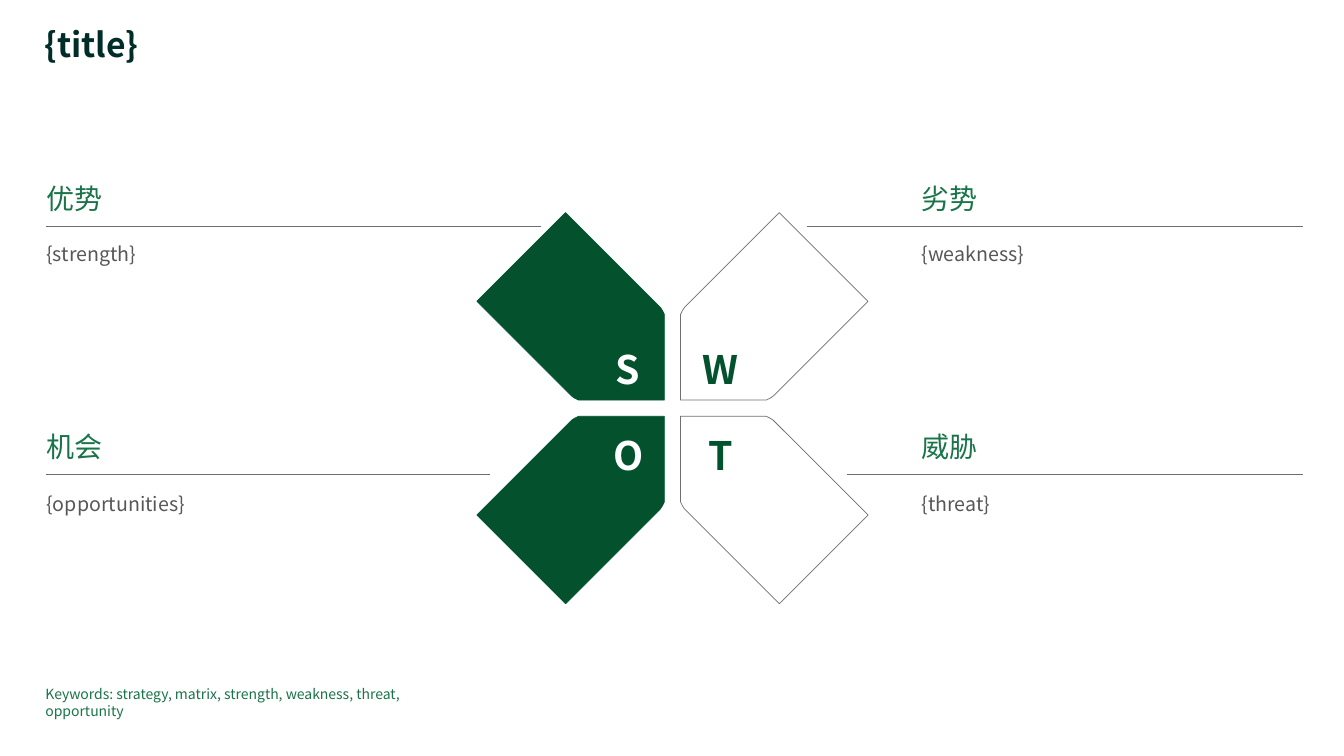
from dataclasses import dataclass
from typing import Optional

from lxml.etree import SubElement
from pptx import Presentation
from pptx.dml.color import RGBColor
from pptx.enum.shapes import MSO_CONNECTOR
from pptx.enum.text import MSO_ANCHOR, PP_ALIGN
from pptx.oxml.ns import qn
from pptx.slide import Slide
from pptx.util import Inches, Pt


@dataclass(frozen=True)
class Theme:
    font: str = "Noto Sans CJK JP"
    ink: str = "002D28"
    green: str = "1A7449"
    dark_green: str = "03522D"
    white: str = "FFFFFF"
    body: str = "575757"
    rule: str = "6E6F73"
    title_size: int = 24
    heading_size: int = 20
    body_size: int = 14
    letter_size: int = 28
    keyword_size: int = 10
    line_width: float = 0.5


THEME = Theme()


@dataclass(frozen=True)
class Label:
    text: str
    left: float
    top: float
    width: float
    height: float
    size: int
    color: str
    bold: bool = False
    wrap: bool = True
    anchor: MSO_ANCHOR = MSO_ANCHOR.TOP
    align: PP_ALIGN = PP_ALIGN.LEFT
    spacing: Optional[float] = None


@dataclass(frozen=True)
class Quadrant:
    letter: str
    heading: str
    body: str
    side: int  # -1 left, 1 right
    level: int  # -1 upper, 1 lower
    rule_start: float
    rule_end: float
    letter_center: float


QUADRANTS = [
    Quadrant("S", "优势", "{strength}", -1, -1, 0.46, 5.37, 6.23),
    Quadrant("W", "劣势", "{weakness}", 1, -1, 8.0, 12.92, 7.15),
    Quadrant("O", "机会", "{opportunities}", -1, 1, 0.46, 4.86, 6.23),
    Quadrant("T", "威胁", "{threat}", 1, 1, 8.4, 12.92, 7.15),
]

CENTER_X, CENTER_Y = 6.67, 4.05
COLUMN_LEFT = {-1: 0.46, 1: 9.14}
RULE_TOP = {-1: 2.25, 1: 4.71}
BODY_TOP = {-1: 2.4, 1: 4.88}
LETTER_TOP = {-1: 3.42, 1: 4.28}
COLUMN_WIDTH = 3.78

# Half a petal, as distances from the centre; the other half swaps x and y.
HALF_PETAL = [(0.88, 0.08), (0.93, 0.08), (0.97, 0.1), (1.0, 0.12), (1.94, 1.06)]
PETAL = [(0.08, 0.08), *HALF_PETAL, *((y, x) for x, y in reversed(HALF_PETAL))]


def add_label(page: Slide, label: Label) -> None:
    box = page.shapes.add_textbox(
        Inches(label.left), Inches(label.top), Inches(label.width), Inches(label.height)
    )
    frame = box.text_frame
    frame_format = {
        "margin_left": 0, "margin_top": 0, "margin_right": 0, "margin_bottom": 0,
        "word_wrap": label.wrap, "vertical_anchor": label.anchor,
    }
    for name, value in frame_format.items():
        setattr(frame, name, value)
    para = frame.paragraphs[0]
    para.alignment = label.align
    para.line_spacing = label.spacing
    span = para.add_run()
    span.text = label.text
    font_format = {"name": THEME.font, "size": Pt(label.size), "bold": label.bold}
    for name, value in font_format.items():
        setattr(span.font, name, value)
    span.font.color.rgb = RGBColor.from_string(label.color)
    SubElement(span.font._element, qn("a:ea"), typeface=THEME.font)


def add_rule(page: Slide, quadrant: Quadrant) -> None:
    top = Inches(RULE_TOP[quadrant.level])
    rule = page.shapes.add_connector(
        MSO_CONNECTOR.STRAIGHT,
        Inches(quadrant.rule_start), top, Inches(quadrant.rule_end), top,
    )
    rule.line.color.rgb = RGBColor.from_string(THEME.rule)
    rule.line.width = Pt(THEME.line_width)
    SubElement(rule._element.spPr, qn("a:effectLst"))


def add_petal(page: Slide, quadrant: Quadrant) -> None:
    """Draw the petal mirrored into its quadrant; left petals are filled."""
    points = [
        (Inches(CENTER_X + quadrant.side * x), Inches(CENTER_Y + quadrant.level * y))
        for x, y in PETAL
    ]
    builder = page.shapes.build_freeform(*points[0])
    builder.add_line_segments(points[1:], close=True)
    petal = builder.convert_to_shape()
    petal.shadow.inherit = False
    filled = quadrant.side < 0
    if filled:
        petal.fill.solid()
        petal.fill.fore_color.rgb = RGBColor.from_string(THEME.dark_green)
    else:
        petal.fill.background()
    line_color = THEME.dark_green if filled else THEME.rule
    petal.line.color.rgb = RGBColor.from_string(line_color)
    petal.line.width = Pt(THEME.line_width)


def add_quadrant(page: Slide, quadrant: Quadrant) -> None:
    left = COLUMN_LEFT[quadrant.side]
    add_rule(page, quadrant)
    add_petal(page, quadrant)
    add_label(page, Label(
        quadrant.heading, left, RULE_TOP[quadrant.level] - 0.46, COLUMN_WIDTH, 0.34,
        THEME.heading_size, THEME.green, anchor=MSO_ANCHOR.BOTTOM,
    ))
    add_label(page, Label(
        quadrant.body, left, BODY_TOP[quadrant.level], COLUMN_WIDTH, 0.24,
        THEME.body_size, THEME.body,
    ))
    letter_width = 0.4
    add_label(page, Label(
        quadrant.letter, quadrant.letter_center - letter_width / 2,
        LETTER_TOP[quadrant.level], letter_width, 0.47, THEME.letter_size,
        THEME.white if quadrant.side < 0 else THEME.dark_green,
        bold=True, anchor=MSO_ANCHOR.MIDDLE, align=PP_ALIGN.CENTER,
    ))


def main() -> None:
    deck = Presentation()
    deck.slide_width, deck.slide_height = Inches(13.33), Inches(7.5)
    page = deck.slides.add_slide(deck.slide_layouts[6])
    add_label(page, Label(
        "{title}", 0.44, 0.28, 11.03, 0.37, THEME.title_size, THEME.ink,
        bold=True, spacing=0.9,
    ))
    for quadrant in QUADRANTS:
        add_quadrant(page, quadrant)
    add_label(page, Label(
        "Keywords: strategy, matrix, strength, weakness, threat, opportunity",
        0.45, 6.8, 4.12, 0.17, THEME.keyword_size, THEME.green,
    ))
    deck.save("out.pptx")


if __name__ == "__main__":
    main()
